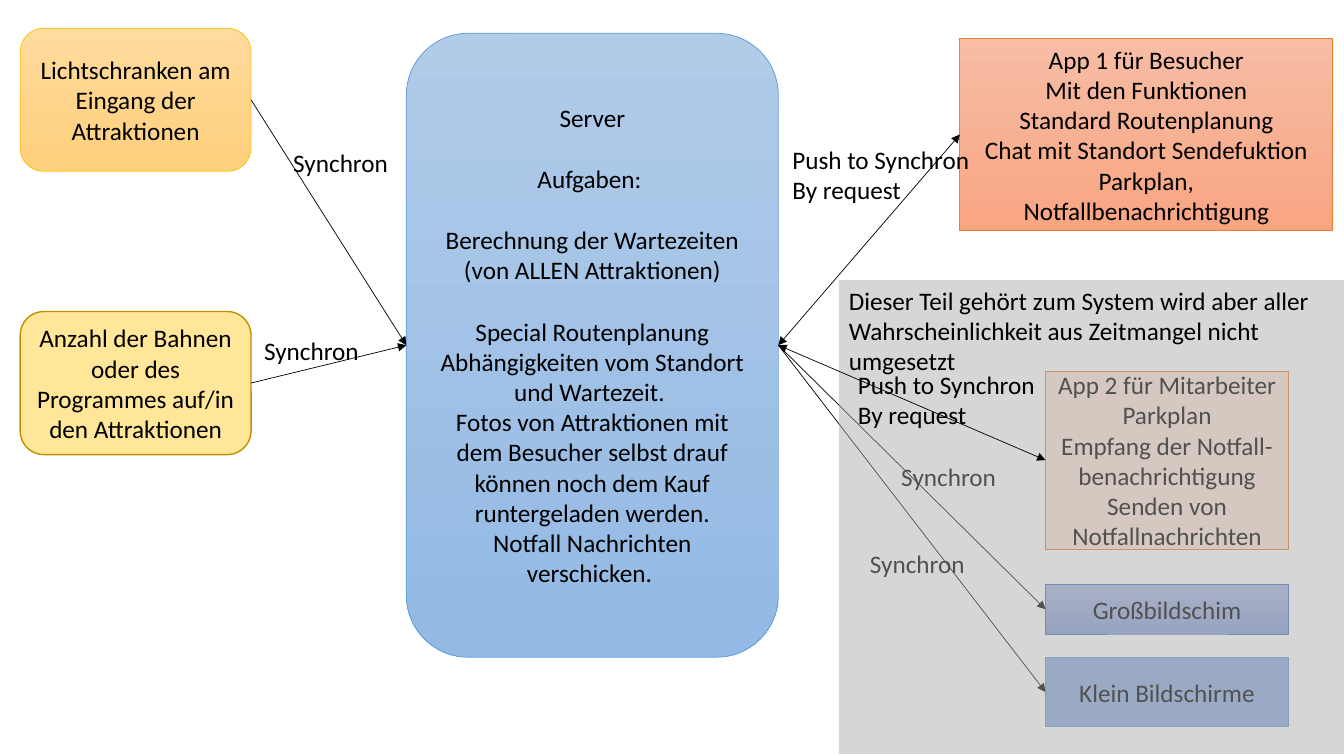
"""Builds the system overview slide of a theme park server and its clients."""
from dataclasses import dataclass

from lxml import etree
from pptx import Presentation
from pptx.dml.color import RGBColor
from pptx.enum.shapes import MSO_CONNECTOR, MSO_SHAPE
from pptx.enum.text import MSO_ANCHOR, MSO_AUTO_SIZE, PP_ALIGN
from pptx.oxml.ns import qn
from pptx.util import Emu, Pt

RECT, ROUNDED = MSO_SHAPE.RECTANGLE, MSO_SHAPE.ROUNDED_RECTANGLE
STRAIGHT = MSO_CONNECTOR.STRAIGHT
TOP, MIDDLE = MSO_ANCHOR.TOP, MSO_ANCHOR.MIDDLE
LEFT, CENTER = PP_ALIGN.LEFT, PP_ALIGN.CENTER
GROW = MSO_AUTO_SIZE.SHAPE_TO_FIT_TEXT
LEFT_SITE, RIGHT_SITE = 1, 3
PX = 9144


@dataclass(frozen=True)
class Theme:
    """Fonts, sizes and colours; a look is (fill stops, outline, outline points)."""
    font: str = "Calibri"
    size: int = 18
    section_gap: int = 22
    ink: str = "000000"
    hairline: float = 0.5
    veil: str = "AAAAAA"
    veil_alpha: int = 48
    gate: tuple = (("FFDB9E", "FFD07C"), "FFC000", 0.5)
    ride: tuple = (("FFE699",), "BF9000", 1)
    server: tuple = (("B1CBE9", "93B9E4"), "5B9BD5", 0.5)
    visitor: tuple = (("F7BDA5", "F8A582"), "ED7D31", 0.5)
    staff: tuple = (("FBE5D6",), "ED7D31", 0.5)
    big_screen: tuple = (("A8B7DF", "889ED7"), "4472C4", 0.5)
    small_screen: tuple = (("8FAADC",), "5B9BD5", 0.5)


class Diagram:
    """Draws diagram elements on one slide in one theme."""

    def __init__(self, slide, theme):
        """Keep the slide and the theme."""
        self.shapes = slide.shapes
        self.theme = theme

    def set_text(self, shape, lines, align, sections=(), **frame_format):
        """Set one paragraph per line, with a gap above each section line."""
        frame = shape.text_frame
        for name, value in {"word_wrap": True, **frame_format}.items():
            setattr(frame, name, value)
        frame.text = "\n".join(lines)
        font_format = {"name": self.theme.font, "size": Pt(self.theme.size)}
        for index, paragraph in enumerate(frame.paragraphs):
            paragraph.alignment = align
            if index in sections:
                paragraph.space_before = Pt(self.theme.section_gap)
            font = paragraph.runs[0].font
            for name, value in font_format.items():
                setattr(font, name, value)
            font.color.rgb = RGBColor.from_string(self.theme.ink)

    def node(self, kind, area, look, lines, sections=()):
        """Add a filled, outlined node with centred text."""
        stops, outline, width = look
        shape = self.shapes.add_shape(kind, *(Emu(n * PX) for n in area))
        shape.shadow.inherit = False
        if len(stops) == 1:
            shape.fill.solid()
            shape.fill.fore_color.rgb = RGBColor.from_string(stops[0])
        else:
            shape.fill.gradient()
            shape.fill.gradient_angle = 270
            for stop, color in zip(shape.fill.gradient_stops, stops):
                stop.color.rgb = RGBColor.from_string(color)
        shape.line.color.rgb = RGBColor.from_string(outline)
        shape.line.width = Pt(width)
        self.set_text(shape, lines, CENTER, sections, vertical_anchor=MIDDLE)
        return shape

    def veil(self, area, lines):
        """Add a translucent panel over the parts left out of scope."""
        panel = self.shapes.add_shape(RECT, *(Emu(n * PX) for n in area))
        panel.shadow.inherit = False
        panel.fill.solid()
        panel.fill.fore_color.rgb = RGBColor.from_string(self.theme.veil)
        color = panel._element.spPr.find(qn("a:solidFill"))[0]
        etree.SubElement(color, qn("a:alpha"), val=str(self.theme.veil_alpha * 1000))
        panel.line.fill.background()
        self.set_text(panel, lines, LEFT, vertical_anchor=TOP)

    def arrow(self, source, target, ends=("tailEnd",)):
        """Connect the right side of source to the left side of target."""
        link = self.shapes.add_connector(STRAIGHT, 0, 0, 0, 0)
        link.begin_connect(source, RIGHT_SITE)
        link.end_connect(target, LEFT_SITE)
        link.line.color.rgb = RGBColor.from_string(self.theme.ink)
        link.line.width = Pt(self.theme.hairline)
        properties = link._element.spPr
        for end in ends:
            etree.SubElement(properties.find(qn("a:ln")), qn(f"a:{end}"), type="triangle")
        etree.SubElement(properties, qn("a:effectLst"))

    def label(self, area, lines):
        """Add a text label beside an arrow."""
        box = self.shapes.add_textbox(*(Emu(n * PX) for n in area))
        self.set_text(box, lines, LEFT, auto_size=GROW)


def main():
    """Build and save the slide."""
    deck = Presentation()
    deck.slide_width, deck.slide_height = Emu(1333 * PX), Emu(750 * PX)
    theme = Theme()
    diagram = Diagram(deck.slides.add_slide(deck.slide_layouts[6]), theme)
    both_ends = ("headEnd", "tailEnd")
    push = ["Push to Synchron", "By request"]

    gate = diagram.node(ROUNDED, (20, 28, 229, 142), theme.gate,
                        ["Lichtschranken am Eingang der Attraktionen"])
    ride = diagram.node(ROUNDED, (20, 309, 229, 142), theme.ride,
                        ["Anzahl der Bahnen oder des Programmes auf/in den Attraktionen"])
    server = diagram.node(ROUNDED, (403, 33, 369, 619), theme.server, [
        "Server",
        "Aufgaben: ",
        "Berechnung der Wartezeiten (von ALLEN Attraktionen)",
        "Special Routenplanung",
        "Abhängigkeiten vom Standort und Wartezeit. ",
        "Fotos von Attraktionen mit dem Besucher selbst drauf können noch dem Kauf "
        "runtergeladen werden.",
        "Notfall Nachrichten verschicken. ",
    ], sections=(1, 2, 3))
    visitor_app = diagram.node(RECT, (952, 38, 370, 191), theme.visitor, [
        "App 1 für Besucher",
        "Mit den Funktionen",
        "Standard Routenplanung",
        "Chat mit Standort Sendefuktion",
        "Parkplan,",
        "Notfallbenachrichtigung",
    ])
    staff_app = diagram.node(RECT, (1037, 368, 241, 177), theme.staff, [
        "App 2 für Mitarbeiter",
        "Parkplan",
        "Empfang der Notfall-benachrichtigung",
        "Senden von Notfallnachrichten",
    ])
    big_screen = diagram.node(RECT, (1037, 580, 241, 49), theme.big_screen,
                              ["Großbildschim"])
    small_screen = diagram.node(RECT, (1037, 652, 241, 69), theme.small_screen,
                                ["Klein Bildschirme"])

    for sensor in (gate, ride):
        diagram.arrow(sensor, server)
    diagram.arrow(server, visitor_app, both_ends)
    for screen in (big_screen, small_screen):
        diagram.arrow(server, screen)
    for left, top in ((281, 141), (252, 328), (884, 453), (853, 539)):
        diagram.label((left, top, 122, 40), ["Synchron"])
    diagram.label((776, 138, 198, 71), push)

    diagram.veil((832, 278, 501, 470), [
        "Dieser Teil gehört zum System wird aber aller Wahrscheinlichkeit "
        "aus Zeitmangel nicht umgesetzt"])
    diagram.arrow(server, staff_app, both_ends)
    diagram.label((841, 361, 198, 71), push)
    deck.save("out.pptx")


if __name__ == "__main__":
    main()
